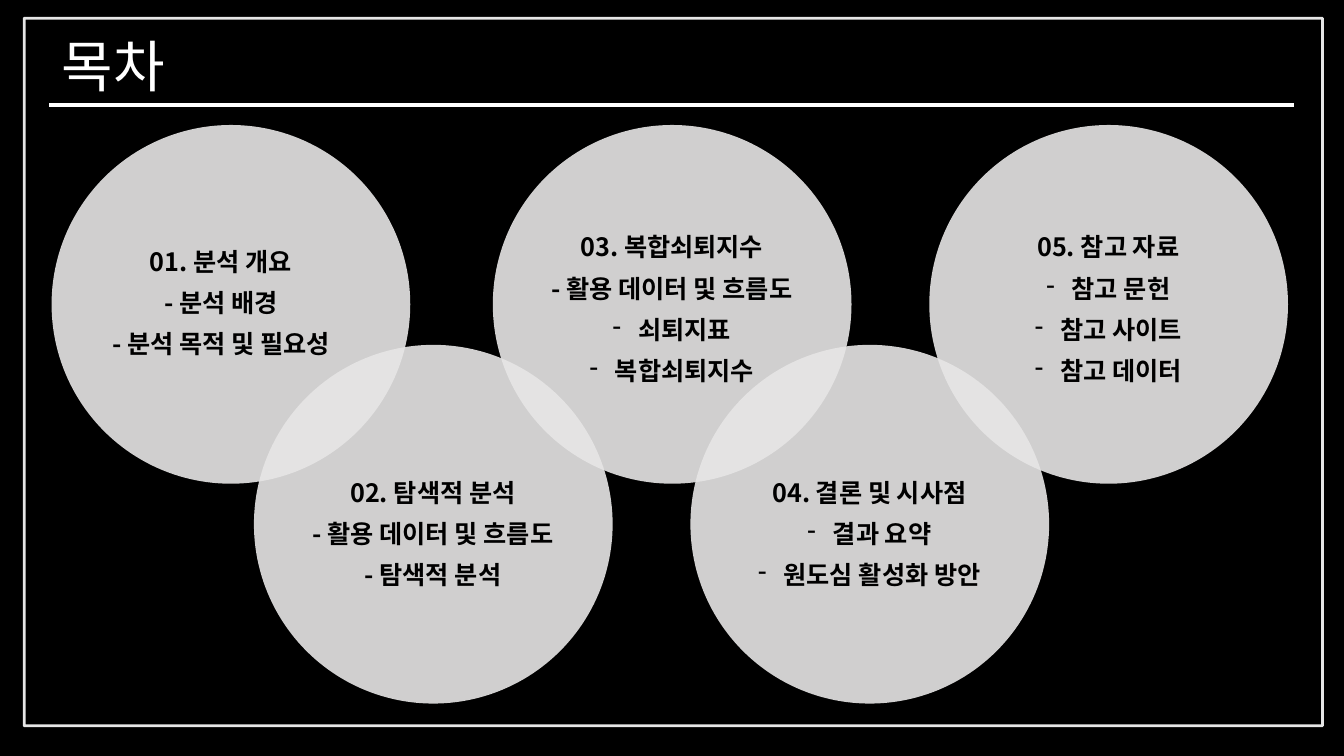
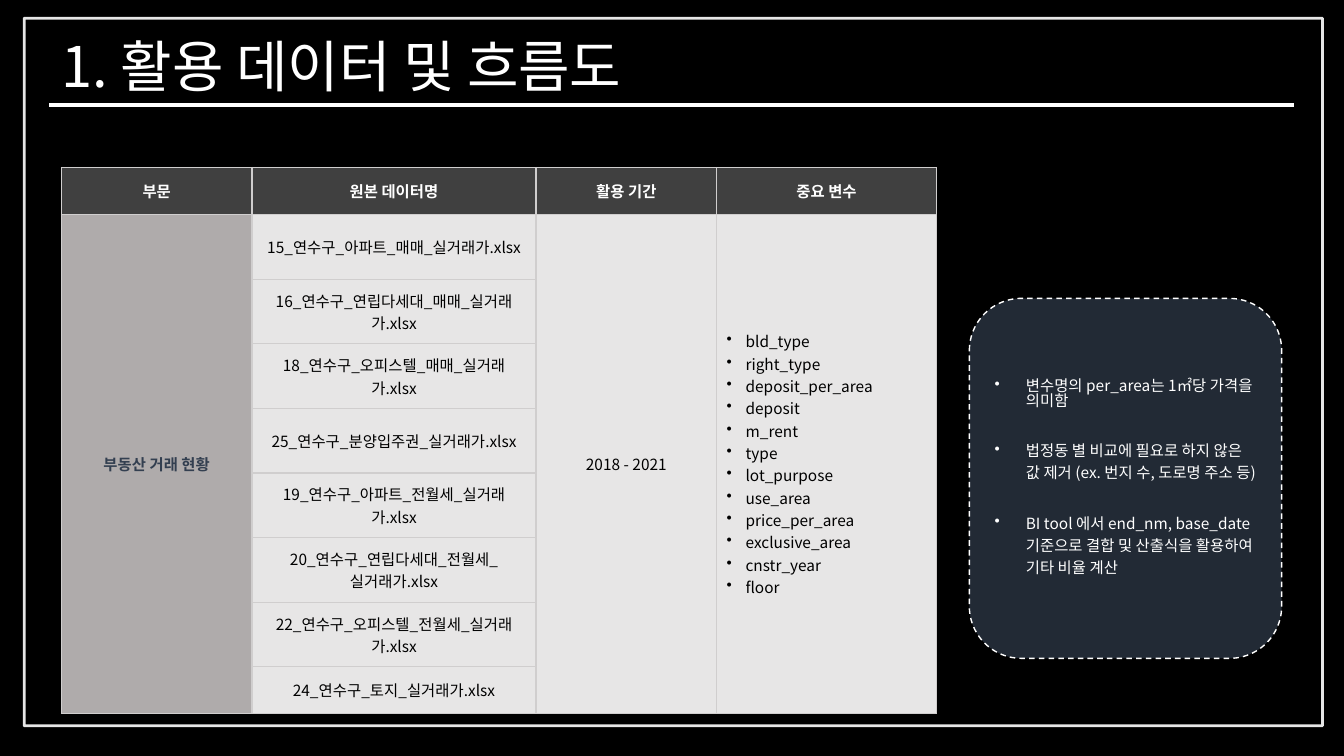
from lxml import etree
from pptx import Presentation
from pptx import util as u
from pptx.dml import color
from pptx.enum import dml, shapes, text
from pptx.oxml import ns

COLORS = {
    "black": "000000", "white": "FFFFFF", "circle": "E7E6E6",
    "header": "404040", "group": "AFABAB", "group_text": "333F50",
    "border": "D0CECE", "note": "222A35",
}
FONT = "Noto Sans CJK KR"


def rgb(name):
    return color.RGBColor.from_string(COLORS[name])


def add(parent, tag, **attrs):
    return etree.SubElement(parent, ns.qn(tag), **attrs)


class Deck:
    def __init__(self):
        self.prs = Presentation()
        self.prs.slide_width, self.prs.slide_height = u.Cm(33.87), u.Cm(19.05)
        fill = self.prs.slide_master.background.fill
        fill.solid()
        fill.fore_color.rgb = rgb("black")
        self.s = None

    def slide(self, title):
        self.s = self.prs.slides.add_slide(self.prs.slide_layouts[5])
        frame = self.shape(shapes.MSO_SHAPE.RECTANGLE, 0.61, 0.46, 32.72, 17.83,
                           line="white", width=2)
        self.translucent(frame.line.fill)
        self.rule(1.24, 32.61, 2.64)
        sp = self.s.shapes.title
        sp.left, sp.top, sp.width, sp.height = map(u.Cm, (1.3, 0.89, 31.27, 1.7))
        self.paragraphs(sp.text_frame, [title], size=40, color="white", line=0.9)

    def translucent(self, fill):
        clr = fill._xPr.find(".//" + ns.qn("a:srgbClr"))
        add(clr, "a:alpha", val="90000")

    def rule(self, x1, x2, y):
        c = self.s.shapes.add_connector(shapes.MSO_CONNECTOR.STRAIGHT,
                                        u.Cm(x1), u.Cm(y), u.Cm(x2), u.Cm(y))
        c.line.color.rgb = rgb("white")
        c.line.width = u.Pt(3)
        add(c._element.spPr, "a:effectLst")

    def shape(self, kind, x, y, w, h, fill=None, line=None, width=1):
        sp = self.s.shapes.add_shape(kind, *map(u.Cm, (x, y, w, h)))
        sp.shadow.inherit = False
        if fill:
            sp.fill.solid()
            sp.fill.fore_color.rgb = rgb(fill)
        else:
            sp.fill.background()
        if line:
            sp.line.color.rgb = rgb(line)
            sp.line.width = u.Pt(width)
        else:
            sp.line.fill.background()
        return sp

    def circle(self, x, y, size):
        sp = self.shape(shapes.MSO_SHAPE.OVAL, x, y, size, size, fill="circle")
        self.translucent(sp.fill)

    def text_box(self, x, y, w, h):
        return self.s.shapes.add_textbox(*map(u.Cm, (x, y, w, h))).text_frame

    def paragraphs(self, tf, items, size=11, color="black", bold=False, align="LEFT",
                   line=None, before=0, bullet=None, indent=0, first_bullet=0):
        tf.word_wrap = True
        tf.vertical_anchor = text.MSO_ANCHOR.MIDDLE
        for i, item in enumerate(items):
            p = tf.paragraphs[0] if i == 0 else tf.add_paragraph()
            p.text = item
            p.alignment = text.PP_ALIGN[align]
            p.space_before = u.Pt(before if i else 0)
            if line:
                p.line_spacing = line
            if bullet and i >= first_bullet:
                pPr = p._p.get_or_add_pPr()
                pPr.set("marL", str(u.Cm(indent)))
                pPr.set("indent", str(-u.Cm(indent)))
                add(pPr, "a:buChar", char=bullet)
            p.font.size = u.Pt(size)
            p.font.bold = bold
            p.font.color.rgb = rgb(color)
            p.font.name = FONT
            add(p._p.pPr.find(ns.qn("a:defRPr")), "a:ea", typeface=FONT)

    def table(self, x, y, cols, rows):
        shape = self.s.shapes.add_table(len(rows), len(cols), u.Cm(x), u.Cm(y),
                                        u.Cm(sum(cols)), u.Cm(sum(rows)))
        table = shape.table
        table.horz_banding = False
        for col, width in zip(table.columns, cols):
            col.width = u.Cm(width)
        for row, height in zip(table.rows, rows):
            row.height = u.Cm(height)
        for cell in table.iter_cells():
            self.border(cell)
            cell.margin_left = cell.margin_right = u.Cm(0.25)
            cell.margin_top = cell.margin_bottom = u.Cm(0.25)
            self.paint(cell, "circle")
        return table

    def border(self, cell):
        tcPr = cell._tc.get_or_add_tcPr()
        for side in ("a:lnL", "a:lnR", "a:lnT", "a:lnB"):
            ln = add(tcPr, side, w=str(u.Pt(1)))
            add(add(ln, "a:solidFill"), "a:srgbClr", val=COLORS["border"])

    def paint(self, cell, fill):
        cell.fill.solid()
        cell.fill.fore_color.rgb = rgb(fill)

    def cell(self, cell, items, **style):
        self.paragraphs(cell.text_frame, items, **style)
        cell.vertical_anchor = text.MSO_ANCHOR.MIDDLE


def contents(deck):
    deck.slide("목차")
    for x, y in ((1.3, 3.15), (12.42, 3.15), (23.42, 3.15), (6.4, 8.69), (17.4, 8.69)):
        deck.circle(x, y, 9.04)
    chapters = [
        (2.18, 4.45, 3, ["01. 분석 개요", "- 분석 배경", "- 분석 목적 및 필요성"]),
        (7.52, 10.26, 3, ["02. 탐색적 분석", "- 활용 데이터 및 흐름도", "- 탐색적 분석"]),
        (13.54, 4.6, 2, ["03. 복합쇠퇴지수", "- 활용 데이터 및 흐름도", "쇠퇴지표", "복합쇠퇴지수"]),
        (18.52, 10.26, 1, ["04. 결론 및 시사점", "결과 요약", "원도심 활성화 방안"]),
        (24.54, 4.6, 1, ["05. 참고 자료", "참고 문헌", "참고 사이트", "참고 데이터"]),
    ]
    for x, y, first_bullet, items in chapters:
        deck.paragraphs(deck.text_box(x, y, 6.78, 6.45), items, size=18, bold=True,
                        align="CENTER", line=0.9, before=10, bullet="-", indent=0.64,
                        first_bullet=first_bullet)


def data_sources(deck):
    deck.slide("1. 활용 데이터 및 흐름도")
    files = [
        "15_연수구_아파트_매매_실거래가.xlsx", "16_연수구_연립다세대_매매_실거래가.xlsx",
        "18_연수구_오피스텔_매매_실거래가.xlsx", "25_연수구_분양입주권_실거래가.xlsx",
        "19_연수구_아파트_전월세_실거래가.xlsx", "20_연수구_연립다세대_전월세_실거래가.xlsx",
        "22_연수구_오피스텔_전월세_실거래가.xlsx", "24_연수구_토지_실거래가.xlsx",
    ]
    variables = [
        "bld_type", "right_type", "deposit_per_area", "deposit", "m_rent", "type",
        "lot_purpose", "use_area", "price_per_area", "exclusive_area", "cnstr_year", "floor",
    ]
    table = deck.table(1.55, 4.22, [4.8, 7.16, 4.55, 5.54], [1.19] + [1.47] * 7 + [1.17])
    for i, label in enumerate(["부문", "원본 데이터명", "활용 기간", "중요 변수"]):
        deck.paint(table.cell(0, i), "header")
        deck.cell(table.cell(0, i), [label], color="white", bold=True, align="CENTER")
    for i in (0, 2, 3):
        table.cell(1, i).merge(table.cell(len(files), i))
    for i, name in enumerate(files, 1):
        deck.paint(table.cell(i, 0), "group")
        deck.cell(table.cell(i, 1), [name], align="CENTER")
    deck.cell(table.cell(1, 0), ["부동산 거래 현황"], color="group_text", bold=True,
              align="CENTER")
    deck.cell(table.cell(1, 2), ["2018 - 2021"], align="CENTER")
    deck.cell(table.cell(1, 3), variables, bullet="•", indent=0.48)

    note = deck.shape(shapes.MSO_SHAPE.ROUNDED_RECTANGLE, 24.43, 7.52, 7.87, 9.07,
                      fill="note", line="white")
    note.line.dash_style = dml.MSO_LINE.DASH
    remarks = [
        "변수명의 per_area는 1㎡당 가격을 의미함",
        "법정동 별 비교에 필요로 하지 않은 값 제거 (ex. 번지 수, 도로명 주소 등)",
        "BI tool 에서 end_nm, base_date 기준으로 결합 및 산출식을 활용하여 기타 비율 계산",
    ]
    deck.paragraphs(note.text_frame, remarks, color="white", line=1.2, before=20,
                    bullet="•", indent=0.79)
    note.text_frame.paragraphs[0].line_spacing = 0.8


def main():
    deck = Deck()
    contents(deck)
    data_sources(deck)
    deck.prs.save("out.pptx")


if __name__ == "__main__":
    main()
